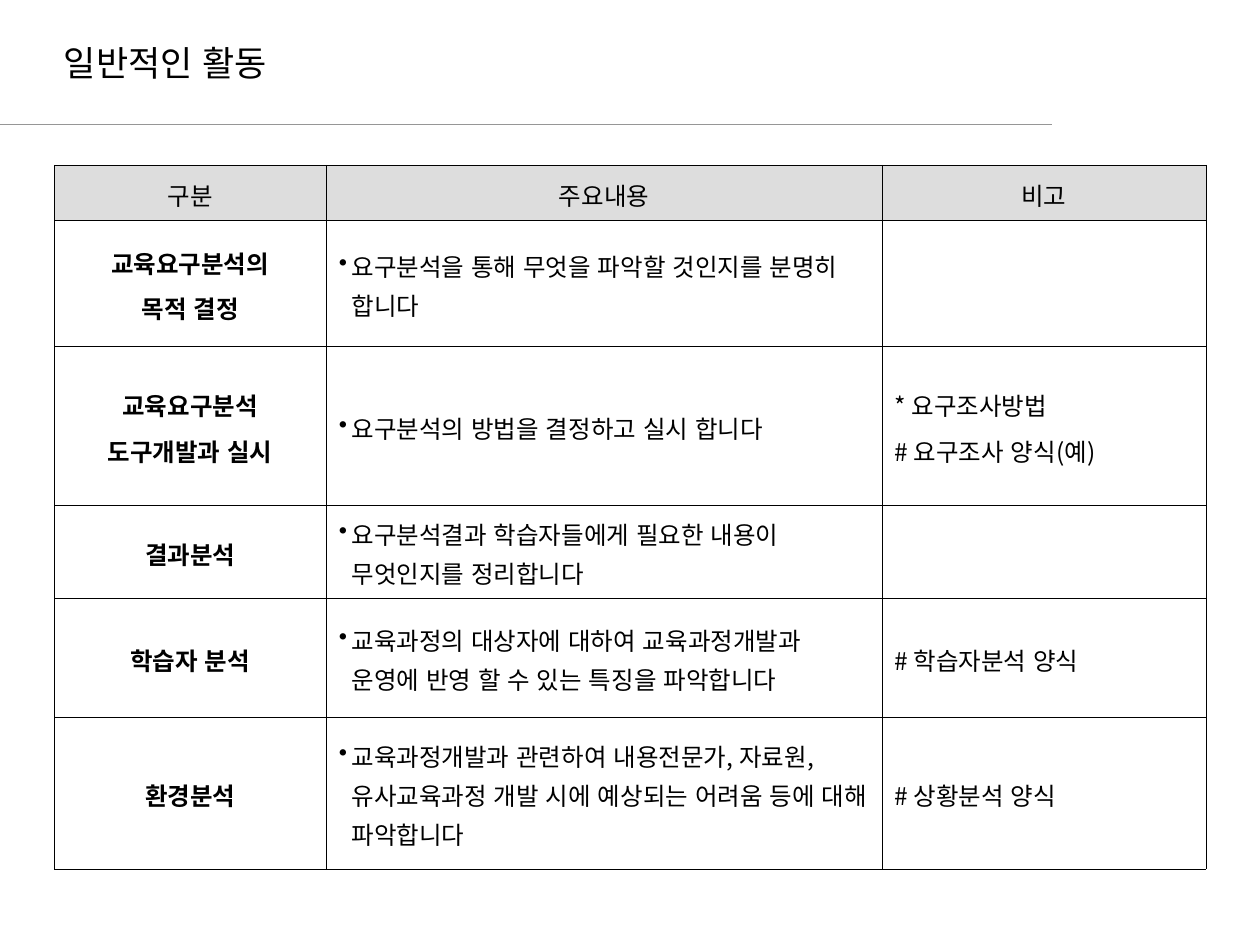
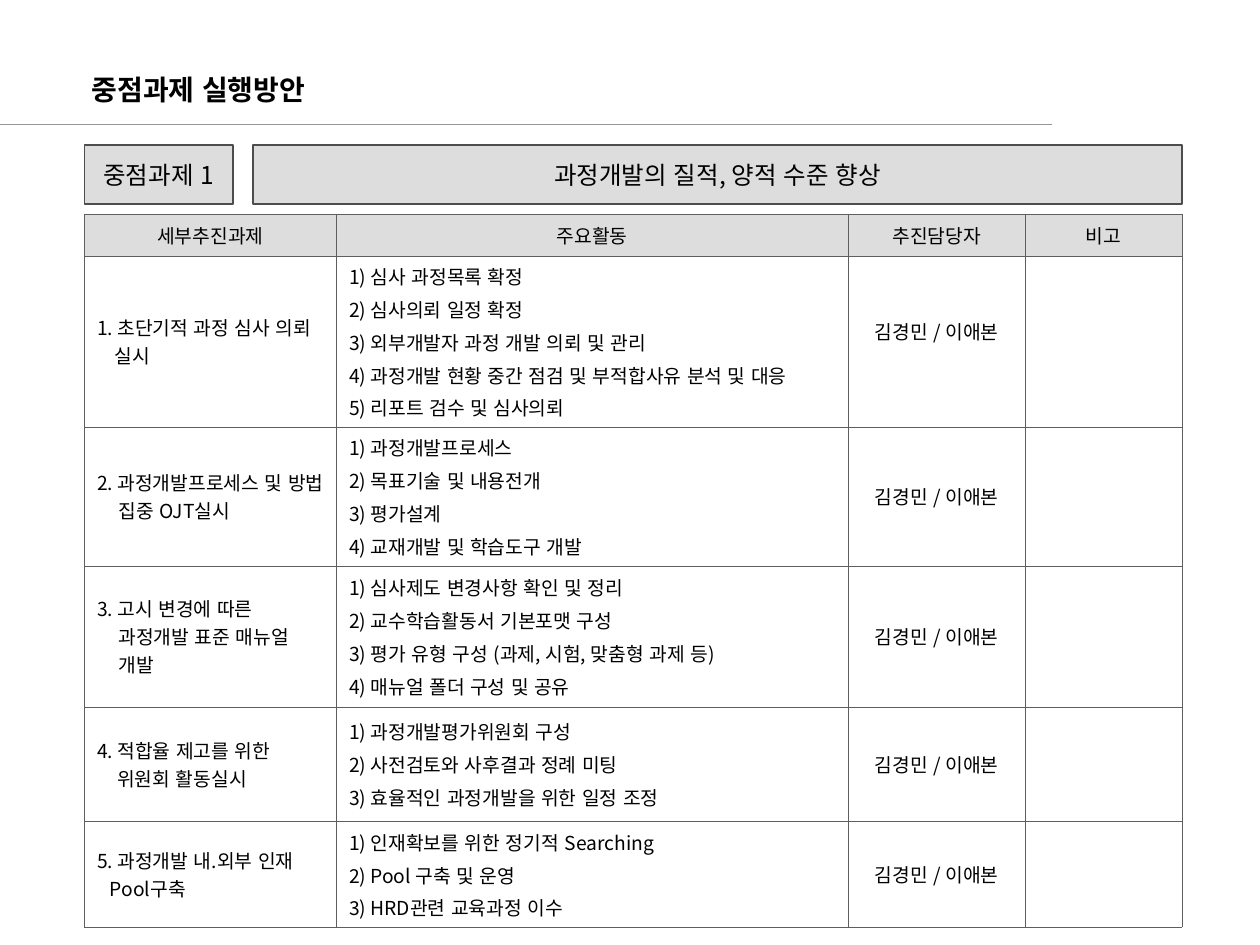
"""Builds two slides on course development: general activities and a key task plan."""
from dataclasses import dataclass, replace

from lxml import etree
from pptx import Presentation
from pptx import util as u
from pptx.dml.color import RGBColor
from pptx.enum import lang, shapes, text
from pptx.oxml import ns

Inches = u.Inches


@dataclass(frozen=True)
class Theme:
    font: str = "Noto Sans CJK KR"
    ink: str = "000000"
    paper: str = "FFFFFF"
    band: str = "DDDDDD"
    band_edge: str = "4D4D4D"
    rule: str = "969696"
    grid: str = "5F5F5F"
    title_size: float = 20
    subtitle_size: float = 16
    body_size: float = 14
    small_size: float = 11


@dataclass(frozen=True)
class TextStyle:
    size: float
    bold: bool = False
    centred: bool = False
    line_spacing: float = 1.0
    space_before: float = 0
    hang: float = 0
    bullet: str = ""


@dataclass(frozen=True)
class Area:
    left: float
    top: float
    width: float
    height: float

    def lengths(self) -> tuple:
        return tuple(Inches(v) for v in (self.left, self.top, self.width, self.height))


@dataclass(frozen=True)
class CellText:
    lines: tuple
    style: TextStyle
    bottom: float = 0.05


@dataclass(frozen=True)
class Grid:
    left: float
    top: float
    columns: tuple
    rows: tuple
    border: str
    border_width: float


@dataclass(frozen=True)
class Task:
    name: str
    hang: float
    activities: tuple
    bottom: float = 0.05


THEME = Theme()
TITLE = TextStyle(THEME.title_size)
SUBTITLE = TextStyle(THEME.subtitle_size, bold=True, line_spacing=1.1)
BANNER = TextStyle(THEME.body_size, centred=True)
NOTE = TextStyle(THEME.body_size, line_spacing=1.1, space_before=3.5)
HEADING = replace(NOTE, centred=True)
STAGE = replace(HEADING, bold=True)
CONTENT = replace(NOTE, hang=0.1, bullet="•")
ACTIVITY = TextStyle(THEME.small_size, space_before=2.8)
SMALL_HEADING = replace(ACTIVITY, centred=True)

STAGE_GRID = Grid(0.43, 1.31, (2.16, 4.41, 2.57), (0.44, 1, 1.26, 0.74, 0.94, 1.21),
                  THEME.ink, 0.11)
STAGE_HEADINGS = ("구분", "주요내용", "비고")
STAGES = (
    (("교육요구분석의", "목적 결정"),
     "요구분석을 통해 무엇을 파악할 것인지를 분명히 합니다", ()),
    (("교육요구분석", "도구개발과 실시"),
     "요구분석의 방법을 결정하고 실시 합니다",
     ("* 요구조사방법", "# 요구조사 양식(예)")),
    (("결과분석",),
     "요구분석결과 학습자들에게 필요한 내용이 무엇인지를 정리합니다", ()),
    (("학습자 분석",),
     "교육과정의 대상자에 대하여 교육과정개발과 운영에 반영 할 수 있는 특징을 파악합니다",
     ("# 학습자분석 양식",)),
    (("환경분석",),
     "교육과정개발과 관련하여 내용전문가, 자료원, 유사교육과정 개발 시에 예상되는 어려움 등에 대해 파악합니다",
     ("# 상황분석 양식",)),
)

TASK_GRID = Grid(0.67, 1.7, (2, 4.06, 1.41, 1.24), (0.33, 1.36, 1.1, 1.12, 0.91, 0.84),
                 THEME.grid, 0.23)
TASK_HEADINGS = ("세부추진과제", "주요활동", "추진담당자", "비고")
OWNERS = "김경민 / 이애본"
TASKS = (
    Task("초단기적 과정 심사 의뢰 실시", 0.14,
         ("심사 과정목록 확정", "심사의뢰 일정 확정", "외부개발자 과정 개발 의뢰 및 관리",
          "과정개발 현황 중간 점검 및 부적합사유 분석 및 대응", "리포트 검수 및 심사의뢰"),
         bottom=0.21),
    Task("과정개발프로세스 및 방법 집중 OJT실시", 0.17,
         ("과정개발프로세스", "목표기술 및 내용전개", "평가설계", "교재개발 및 학습도구 개발")),
    Task("고시 변경에 따른 과정개발 표준 매뉴얼 개발", 0.17,
         ("심사제도 변경사항 확인 및 정리", "교수학습활동서 기본포맷 구성",
          "평가 유형 구성 (과제, 시험, 맞춤형 과제 등)", "매뉴얼 폴더 구성 및 공유")),
    Task("적합율 제고를 위한 위원회 활동실시", 0.16,
         ("과정개발평가위원회 구성", "사전검토와 사후결과 정례 미팅",
          "효율적인 과정개발을 위한 일정 조정")),
    Task("과정개발 내.외부 인재 Pool구축", 0.1,
         ("인재확보를 위한 정기적 Searching", "Pool 구축 및 운영", "HRD관련 교육과정 이수")),
)


def colour(value: str) -> RGBColor:
    return RGBColor.from_string(value)


def add_element(parent, tag: str, **attributes: str):
    return etree.SubElement(parent, ns.qn(tag), attributes)


def write(frame, lines: tuple, style: TextStyle) -> None:
    for index, line in enumerate(lines):
        para = frame.add_paragraph() if index else frame.paragraphs[0]
        properties = para._p.get_or_add_pPr()
        if style.hang:
            properties.set("marL", str(Inches(style.hang)))
            properties.set("indent", str(-Inches(style.hang)))
        if style.bullet:
            add_element(add_element(properties, "a:buClr"), "a:srgbClr", val=THEME.ink)
            add_element(properties, "a:buChar", char=style.bullet)
        para.alignment = text.PP_ALIGN.CENTER if style.centred else text.PP_ALIGN.LEFT
        para.line_spacing = style.line_spacing
        para.space_before = u.Pt(style.space_before if index else 0)
        span = para.add_run()
        span.text = line
        span.font.size = u.Pt(style.size)
        span.font.bold = style.bold
        span.font.name = THEME.font
        span.font.color.rgb = colour(THEME.ink)
        span.font.language_id = lang.MSO_LANGUAGE_ID.KOREAN
        add_element(span.font._element, "a:ea", typeface=THEME.font)


def add_page(deck, title: str, area: Area, style: TextStyle):
    page = deck.slides.add_slide(deck.slide_layouts[6])
    page.background.fill.solid()
    page.background.fill.fore_color.rgb = colour(THEME.paper)
    rule = page.shapes.add_connector(shapes.MSO_CONNECTOR.STRAIGHT, Inches(0), Inches(0.99),
                                     Inches(8.35), Inches(0.99))
    rule.line.color.rgb = colour(THEME.rule)
    rule.line.width = u.Pt(0.75)
    add_element(rule._element.spPr, "a:effectLst")
    box = page.shapes.add_textbox(*area.lengths())
    box.text_frame.word_wrap = False
    write(box.text_frame, (title,), style)
    return page


def add_banner(page, label: str, area: Area) -> None:
    box = page.shapes.add_shape(shapes.MSO_SHAPE.RECTANGLE, *area.lengths())
    box.shadow.inherit = False
    box.fill.solid()
    box.fill.fore_color.rgb = colour(THEME.band)
    box.line.color.rgb = colour(THEME.band_edge)
    box.line.width = u.Pt(1)
    box.text_frame.word_wrap = False
    box.text_frame.vertical_anchor = text.MSO_ANCHOR.MIDDLE
    write(box.text_frame, (label,), BANNER)


def add_borders(cell, grid: Grid) -> None:
    properties = cell._tc.get_or_add_tcPr()
    for side in ("a:lnL", "a:lnR", "a:lnT", "a:lnB"):
        line = add_element(properties, side, w=str(u.Pt(grid.border_width)))
        add_element(add_element(line, "a:solidFill"), "a:srgbClr", val=grid.border)


def add_grid(page, grid: Grid, content: list[list[CellText]]) -> None:
    area = Area(grid.left, grid.top, sum(grid.columns), sum(grid.rows))
    table = page.shapes.add_table(len(grid.rows), len(grid.columns), *area.lengths()).table
    table.first_row = table.horz_banding = False
    for column, width in zip(table.columns, grid.columns):
        column.width = Inches(width)
    for row, height in zip(table.rows, grid.rows):
        row.height = Inches(height)
    for row_index, row_content in enumerate(content):
        for column_index, item in enumerate(row_content):
            cell = table.cell(row_index, column_index)
            cell.vertical_anchor = text.MSO_ANCHOR.MIDDLE
            cell.margin_left = cell.margin_right = Inches(0.1)
            cell.margin_top, cell.margin_bottom = Inches(0.05), Inches(item.bottom)
            add_borders(cell, grid)
            cell.fill.solid()
            cell.fill.fore_color.rgb = colour(THEME.paper if row_index else THEME.band)
            write(cell.text_frame, item.lines, item.style)


def heading_row(labels: tuple, style: TextStyle) -> list[CellText]:
    return [CellText((label,), style) for label in labels]


def task_row(number: int, task: Task) -> list[CellText]:
    activities = tuple(f"{i}) {name}" for i, name in enumerate(task.activities, 1))
    return [CellText((f"{number}. {task.name}",), replace(ACTIVITY, hang=task.hang)),
            CellText(activities, ACTIVITY),
            CellText((OWNERS,), SMALL_HEADING, task.bottom),
            CellText((), ACTIVITY)]


def build_activities(deck) -> None:
    page = add_page(deck, "일반적인 활동", Area(0.41, 0.28, 1.9, 0.44), TITLE)
    rows = [[CellText(stage, STAGE), CellText((content,), CONTENT), CellText(notes, NOTE)]
            for stage, content, notes in STAGES]
    add_grid(page, STAGE_GRID, [heading_row(STAGE_HEADINGS, HEADING), *rows])


def build_task_plan(deck) -> None:
    page = add_page(deck, "중점과제 실행방안", Area(0.63, 0.5, 1.89, 0.4), SUBTITLE)
    rows = [task_row(number, task) for number, task in enumerate(TASKS, 1)]
    add_grid(page, TASK_GRID, [heading_row(TASK_HEADINGS, SMALL_HEADING), *rows])
    add_banner(page, "과정개발의 질적, 양적 수준 향상", Area(2.01, 1.15, 7.37, 0.47))
    add_banner(page, "중점과제 1", Area(0.67, 1.15, 1.18, 0.47))


def main() -> None:
    deck = Presentation()
    deck.slide_width, deck.slide_height = Inches(10), Inches(7.5)
    build_activities(deck)
    build_task_plan(deck)
    deck.save("out.pptx")


if __name__ == "__main__":
    main()
